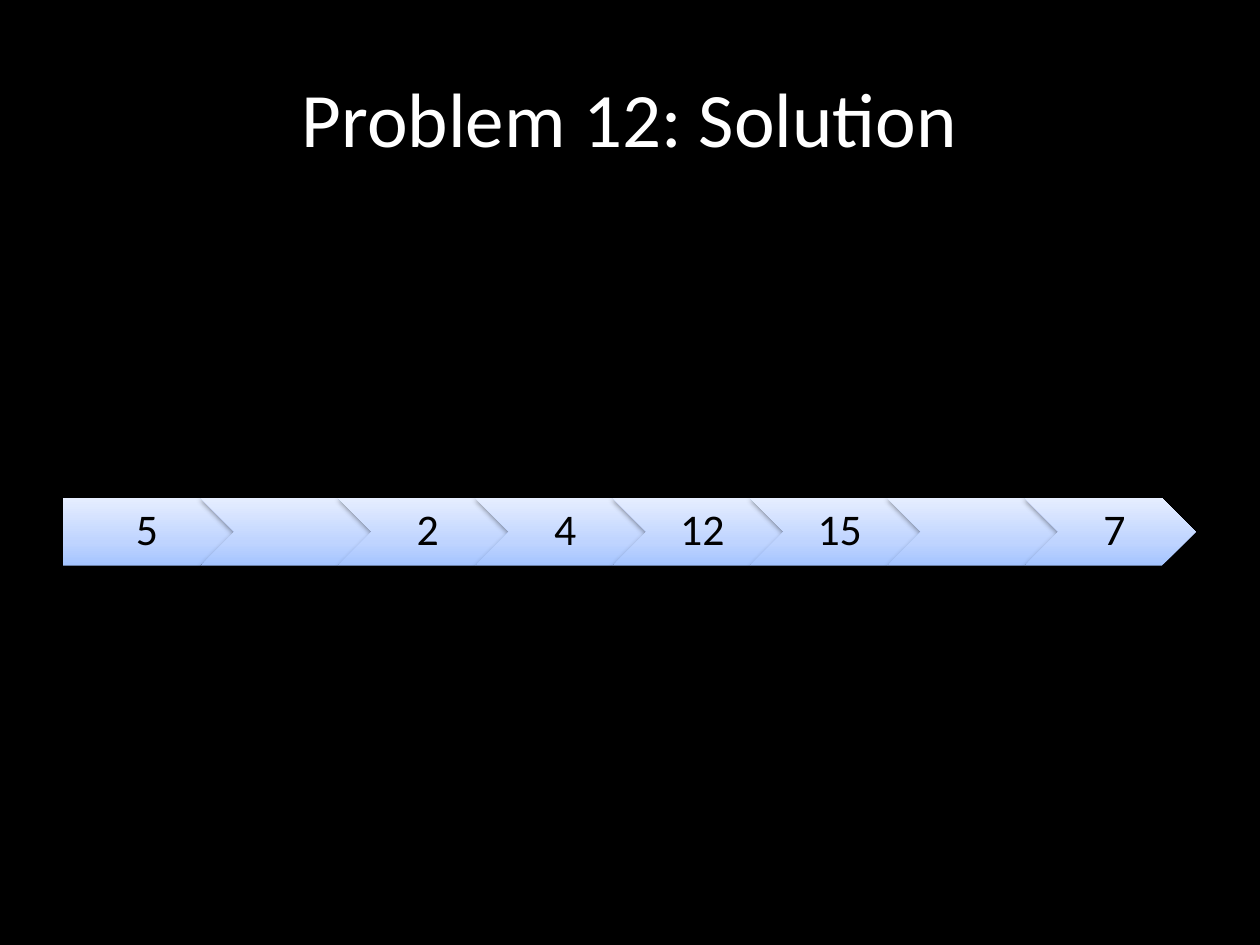
from lxml import etree
from pptx import Presentation, util as u
from pptx.dml.color import RGBColor
from pptx.enum import shapes, text
from pptx.oxml.ns import qn

TITLE_ONLY = 5


def color(value):
    return RGBColor.from_string(value)


class Deck:
    font = "Calibri"
    background = "000000"
    title_color = "FFFFFF"
    label_color = "000000"
    gradient = [(0, "A4C4FF"), (35, "BFD4FF"), (100, "E6EEFF")]

    def __init__(self, prs):
        self.s = prs.slides.add_slide(prs.slide_layouts[TITLE_ONLY])
        fill = self.s.background.fill
        fill.solid()
        fill.fore_color.rgb = color(self.background)

    def label(self, tf, words, size, hex_color):
        tf.word_wrap = True
        tf.vertical_anchor = text.MSO_ANCHOR.MIDDLE
        p = tf.paragraphs[0]
        p.alignment = text.PP_ALIGN.CENTER
        r = p.add_run()
        r.text = words
        r.font.name = self.font
        r.font.size = u.Pt(size)
        r.font.color.rgb = color(hex_color)
        return p

    def title(self, words, left, top, width, height):
        sp = self.s.shapes.title
        sp.left, sp.top = u.Inches(left), u.Inches(top)
        sp.width, sp.height = u.Inches(width), u.Inches(height)
        self.label(sp.text_frame, words, 44, self.title_color)

    def paint(self, sp):
        sp.line.fill.background()
        sp.fill.gradient()
        sp.fill.gradient_angle = 90
        stops = sp.element.spPr.find(qn("a:gradFill")).find(qn("a:gsLst"))
        for stop in list(stops):
            stops.remove(stop)
        for position, value in self.gradient:
            stop = etree.SubElement(stops, qn("a:gs"), pos=str(position * 1000))
            etree.SubElement(stop, qn("a:srgbClr"), val=value)

    def shade(self, sp):
        sp.shadow.inherit = False
        effects = sp.element.spPr.find(qn("a:effectLst"))
        shadow = etree.SubElement(
            effects, qn("a:outerShdw"), blurRad=str(u.Pt(3.1)),
            dist=str(u.Pt(1.6)), dir="5400000", rotWithShape="0")
        black = etree.SubElement(shadow, qn("a:srgbClr"), val="000000")
        etree.SubElement(black, qn("a:alpha"), val="38000")

    def arrow(self, group, kind, words, left, top, width, height, inset):
        sp = group.shapes.add_shape(
            kind, u.Inches(left), u.Inches(top), u.Inches(width), u.Inches(height))
        self.paint(sp)
        self.shade(sp)
        if words:
            tf = sp.text_frame
            tf.margin_left, tf.margin_right = u.Inches(inset), u.Inches(0.04)
            tf.margin_top = tf.margin_bottom = u.Inches(0.07)
            self.label(tf, words, 25, self.label_color).line_spacing = 0.9

    def arrow_row(self, labels, left, top, width, height, pitch):
        group = self.s.shapes.add_group_shape()
        for i, words in enumerate(labels):
            kind, inset = shapes.MSO_SHAPE.CHEVRON, 0.11
            if i == 0:
                kind, inset = shapes.MSO_SHAPE.PENTAGON, 0.15
            self.arrow(group, kind, words, left + i * pitch, top, width, height, inset)


def main():
    prs = Presentation()
    prs.slide_width, prs.slide_height = u.Inches(10), u.Inches(7.5)
    deck = Deck(prs)
    deck.title("Problem 12: Solution", 0.5, 0.3, 9, 1.25)
    deck.arrow_row(["5", "", "2", "4", "12", "15", "", "7"],
                   0.5, 3.95, 1.36, 0.54, 1.09)
    prs.save("out.pptx")


if __name__ == "__main__":
    main()
